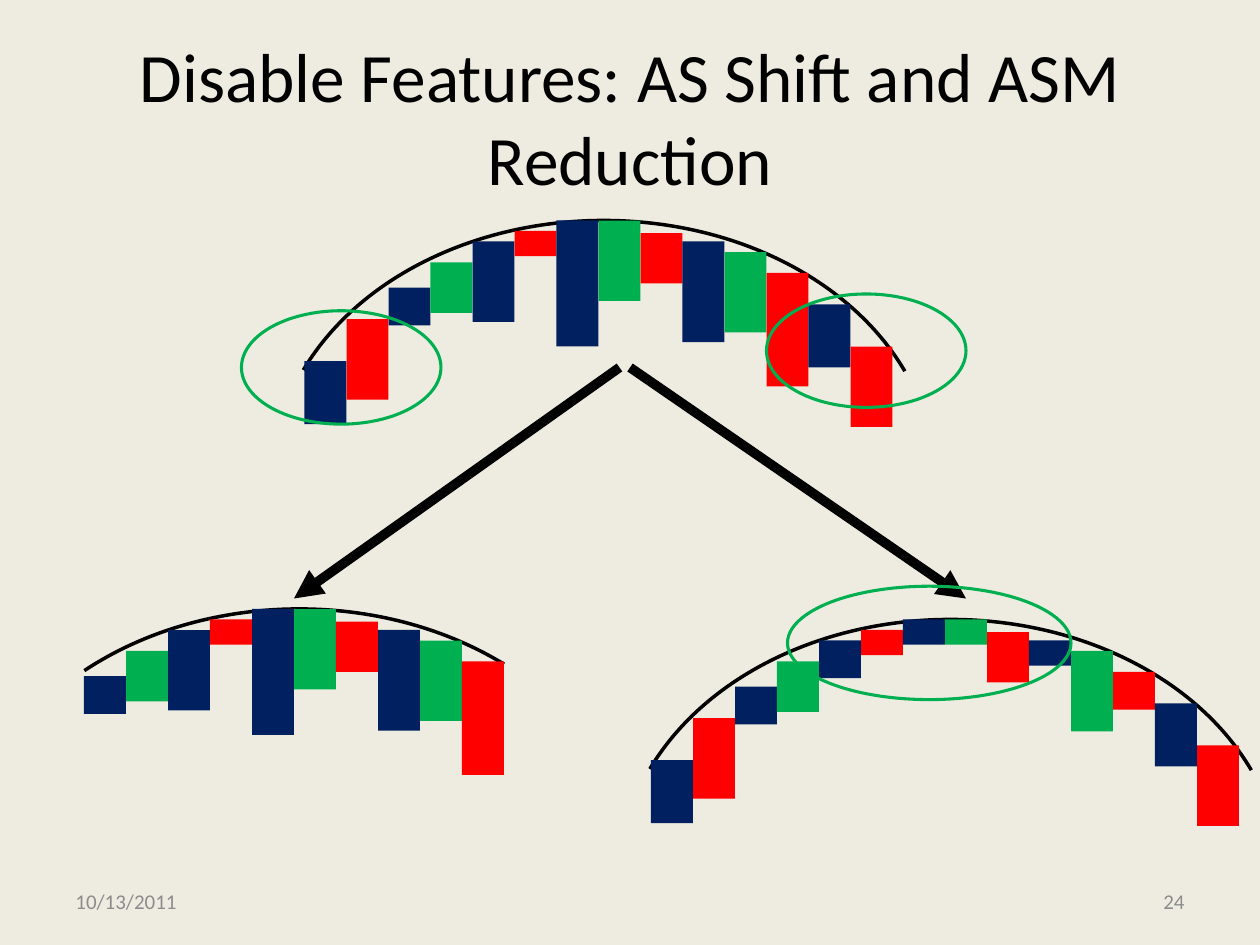
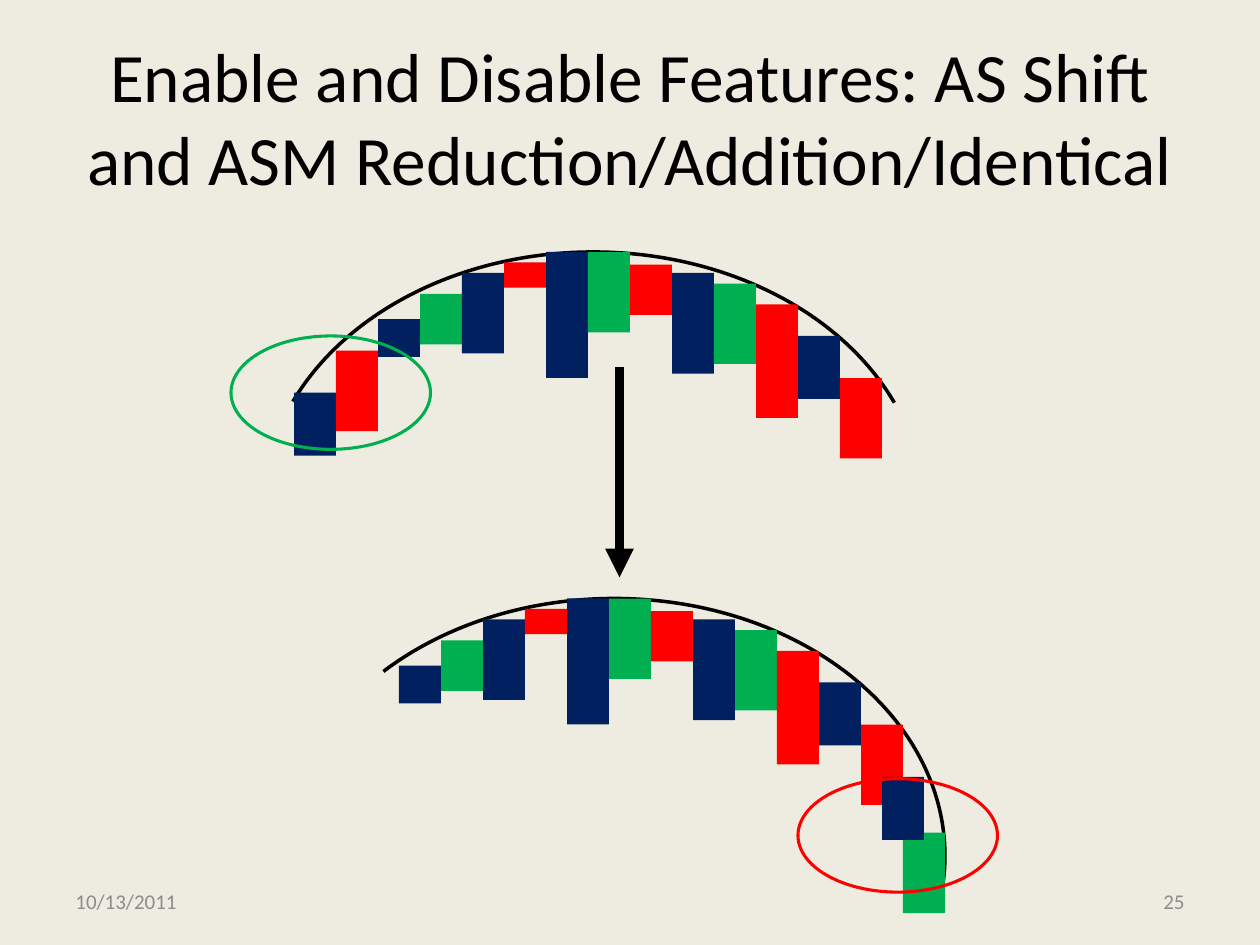
from pptx import Presentation
from pptx.dml.color import RGBColor
from pptx.enum.shapes import MSO_CONNECTOR, MSO_SHAPE
from pptx.enum.text import MSO_ANCHOR, PP_ALIGN
from pptx.oxml.ns import qn
from pptx.util import Pt
from lxml.etree import SubElement

FONT = "Calibri"
BACKGROUND, BLACK, GRAY = "EEECE1", "000000", "8C8C8C"
NAVY, RED, GREEN = "002060", "FF0000", "00B050"

# Bars hang from the arch: colour, drop below the arch top, height
BAR_WIDTH, FIRST_BAR_X = 24, 18
BARS = [
    (NAVY, 80.4, 36), (RED, 56.4, 46), (NAVY, 38.4, 21.6), (GREEN, 24, 28.8),
    (NAVY, 12, 46), (RED, 6, 14.4), (NAVY, 0, 72), (GREEN, 0, 46),
    (RED, 7.2, 28.8), (NAVY, 12, 57.6), (GREEN, 18, 46), (RED, 30, 64.8),
    (NAVY, 48, 36), (RED, 72, 46),
]
# Heights after the middle features are reduced, by bar index
REDUCED = {4: 21.6, 6: 14.4, 7: 14.4, 9: 14.4, 11: 21.6}
# Features added past the right end: colour, x, y, height
ADDED = [(GREEN, 354, 133.8, 46), (NAVY, 342, 102, 36)]

ARCH_SIZE = (378, 294)
FULL_SWEEP = (199.72, 340.52)
RING_SIZE = (114, 64.8)


def rgb(color):
    return RGBColor.from_string(color)


def add_text(s, box, text, size, color, align):
    tf = s.shapes.add_textbox(*map(Pt, box)).text_frame
    tf.word_wrap = True
    tf.vertical_anchor = MSO_ANCHOR.MIDDLE
    p = tf.paragraphs[0]
    p.text = text
    p.alignment = align
    font = p.runs[0].font
    font.name, font.size = FONT, Pt(size)
    font.color.rgb = rgb(color)


def add_bar(group, x, y, height, color):
    sp = group.shapes.add_shape(MSO_SHAPE.RECTANGLE, Pt(x), Pt(y), Pt(BAR_WIDTH), Pt(height))
    sp.shadow.inherit = False
    sp.fill.solid()
    sp.fill.fore_color.rgb = rgb(color)
    sp.line.fill.background()


def add_outline(shapes, kind, box, color, width):
    sp = shapes.add_shape(kind, *map(Pt, box))
    sp.shadow.inherit = False
    sp.fill.background()
    sp.line.color.rgb = rgb(color)
    sp.line.width = Pt(width)
    return sp


def add_arch(s, x, y, sweep=FULL_SWEEP, shown=range(len(BARS)), heights={}, added=()):
    """Arch with its hanging bars; x, y is the corner of the full ellipse."""
    group = s.shapes.add_group_shape()
    arc = add_outline(group.shapes, MSO_SHAPE.ARC, (x, y, *ARCH_SIZE), BLACK, 2)
    for i, angle in enumerate(sweep):
        arc.adjustments[i] = angle * 0.6  # 60000 units per degree, scaled by 100000
    for i in shown:
        color, drop, height = BARS[i]
        add_bar(group, x + FIRST_BAR_X + i * BAR_WIDTH, y + drop, heights.get(i, height), color)
    for color, dx, dy, height in added:
        add_bar(group, x + dx, y + dy, height, color)


def add_ring(s, x, y, color=GREEN, size=RING_SIZE):
    add_outline(s.shapes, MSO_SHAPE.OVAL, (x, y, *size), color, 1.75)


def add_arrow(s, *ends):
    line = s.shapes.add_connector(MSO_CONNECTOR.STRAIGHT, *map(Pt, ends))
    line.line.color.rgb = rgb(BLACK)
    line.line.width = Pt(5.5)
    SubElement(line.line._get_or_add_ln(), qn("a:tailEnd"), type="triangle")
    SubElement(line._element.spPr, qn("a:effectLst"))


def add_base_slide(prs, title, number):
    s = prs.slides.add_slide(prs.slide_layouts[6])
    s.background.fill.solid()
    s.background.fill.fore_color.rgb = rgb(BACKGROUND)
    add_text(s, (36, 21.6, 648, 90), title, 39.6, BLACK, PP_ALIGN.CENTER)
    # Footer
    add_text(s, (36, 500.4, 168, 28.8), "10/13/2011", 12, GRAY, PP_ALIGN.LEFT)
    add_text(s, (516, 500.4, 168, 28.8), number, 12, GRAY, PP_ALIGN.RIGHT)
    return s


def build_disable_slide(prs):
    s = add_base_slide(prs, "Disable Features: AS Shift and ASM Reduction", "24")
    # Starting arch, then the shifted one and the reduced one
    add_arch(s, 156, 126)
    add_arch(s, -18, 348, sweep=(222.3, 315.4), shown=range(2, 12))
    add_arch(s, 354, 354, heights=REDUCED)
    add_arrow(s, 360, 210, 552, 342)
    add_arrow(s, 354, 210, 168, 342)
    # Rings around the disabled features
    add_ring(s, 138, 177.6)
    add_ring(s, 438, 168)
    add_ring(s, 450, 335, size=(162, 64.8))


def build_enable_disable_slide(prs):
    s = add_base_slide(
        prs, "Enable and Disable Features: AS Shift and ASM Reduction/Addition/Identical", "25")
    # Starting arch, then the arch with features dropped left and added right
    add_arch(s, 150, 144)
    add_arch(s, 162, 342, sweep=(218.59, 8.81), shown=range(2, 14), added=ADDED)
    # Rings around the enabled and the disabled features
    add_ring(s, 456, 445, RED)
    add_ring(s, 132, 192)
    add_arrow(s, 354, 210, 354, 330)


def main():
    prs = Presentation()
    prs.slide_width, prs.slide_height = Pt(720), Pt(540)
    build_disable_slide(prs)
    build_enable_disable_slide(prs)
    prs.save("out.pptx")


if __name__ == "__main__":
    main()
